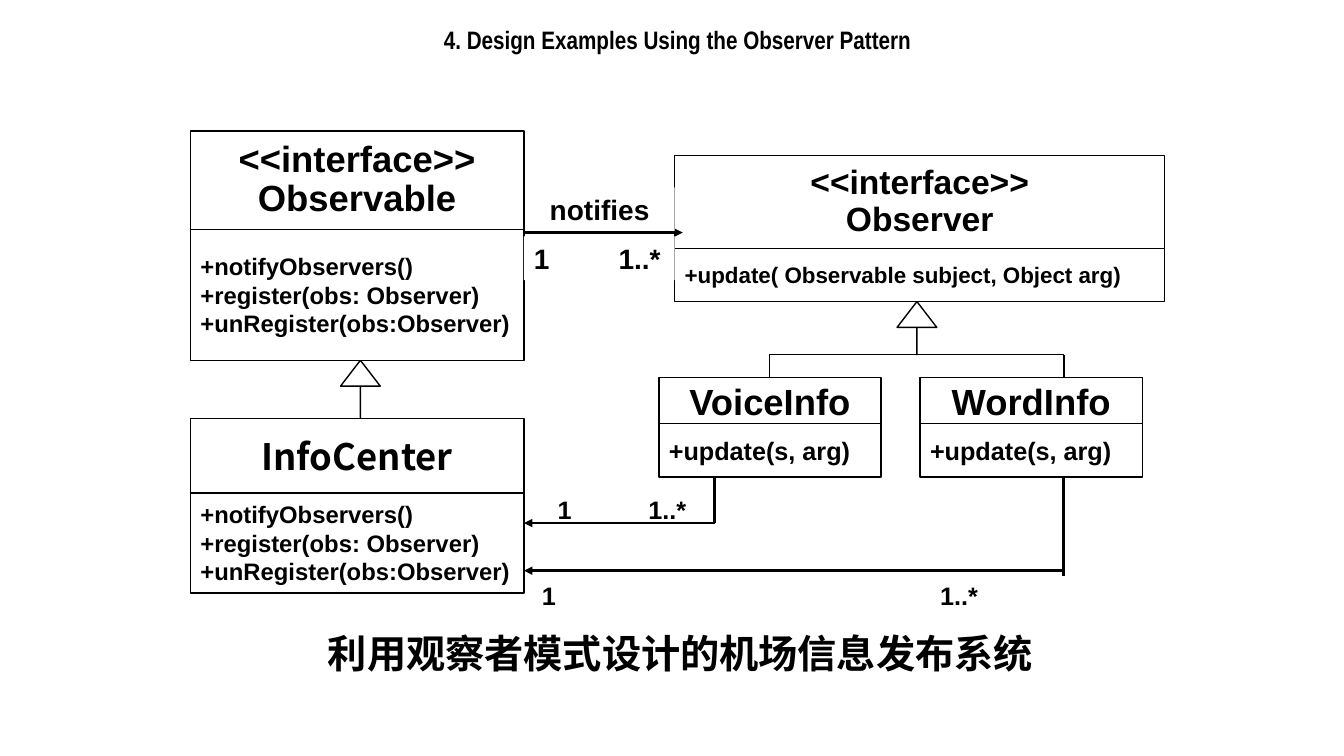
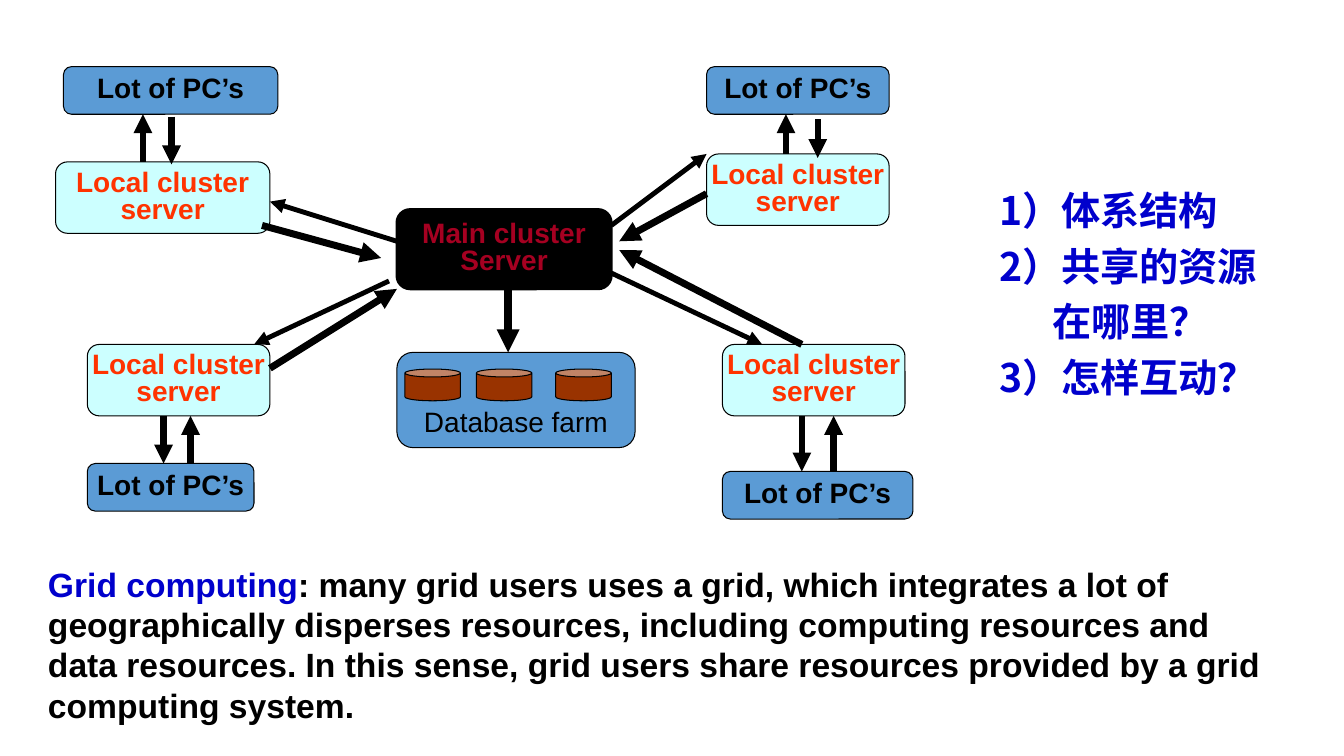
from dataclasses import dataclass

from lxml import etree
from pptx import Presentation
from pptx.dml.color import RGBColor
from pptx.enum.shapes import MSO_CONNECTOR, MSO_SHAPE
from pptx.enum.text import MSO_ANCHOR, MSO_AUTO_SIZE, PP_ALIGN
from pptx.oxml.ns import qn
from pptx.util import Inches, Mm, Pt

RECT, ROUNDED = MSO_SHAPE.RECTANGLE, MSO_SHAPE.ROUNDED_RECTANGLE
UP_ARROW, CAN = MSO_SHAPE.UP_ARROW, MSO_SHAPE.CAN
STRAIGHT = MSO_CONNECTOR.STRAIGHT
LEFT, CENTER = PP_ALIGN.LEFT, PP_ALIGN.CENTER
TOP, MIDDLE, BOTTOM = MSO_ANCHOR.TOP, MSO_ANCHOR.MIDDLE, MSO_ANCHOR.BOTTOM
NO_FIT = MSO_AUTO_SIZE.NONE
TITLE_ONLY, BLANK = 5, 6

BLACK, WHITE, BLUE = "000000", "FFFFFF", "0000CC"
STEEL, ICE, BROWN = "5B9BD5", "CCFFFF", "993300"
ORANGE, CRIMSON = "FF3300", "A50021"
SANS, NARROW, CJK = "Arial", "Arial Narrow", "Noto Sans CJK SC"

CELL = Mm(2)
ROW_START = 0.4  # the first row begins a little below the slide's top edge


@dataclass(frozen=True)
class Area:
    """A rectangle in grid columns and rows."""
    col: float
    row: float
    cols: float
    rows: float

    def lengths(self) -> tuple[int, int, int, int]:
        return (round(self.col * CELL), round((self.row + ROW_START) * CELL),
                round(self.cols * CELL), round(self.rows * CELL))


@dataclass(frozen=True)
class TextStyle:
    size: float
    color: str = BLACK
    font: str = SANS
    bold: bool = True
    align: PP_ALIGN = LEFT
    spacing: float = 1.0
    before: float = 0


@dataclass(frozen=True)
class Link:
    col: float
    row: float
    end_col: float
    end_row: float
    width: float
    arrow: bool = True


@dataclass(frozen=True)
class ClassBox:
    col: float
    row: float
    cols: float
    name: str
    name_rows: float
    members: str
    member_rows: float
    member_size: float
    name_size: float = 26
    name_font: str = SANS


@dataclass(frozen=True)
class Multiplicity:
    """The two ends of an association, with the gap between them in inches."""
    area: Area
    size: float
    gap: float
    fill: str | None = WHITE


SUBJECT_METHODS = "+notifyObservers()\n+register(obs: Observer)\n+unRegister(obs:Observer)"
CLASSES = [
    ClassBox(24, 16.1, 42, "<<interface>>\nObservable", 12.4, SUBJECT_METHODS, 16.5, 17),
    ClassBox(24, 52.3, 42, "InfoCenter", 9.4, SUBJECT_METHODS, 12.6, 17, name_font=CJK),
    ClassBox(85, 19.2, 61.7, "<<interface>>\nObserver", 11.7,
             "+update( Observable subject, Object arg)", 6.7, 16, name_size=24),
    ClassBox(83, 47.2, 28, "VoiceInfo", 5.8, "+update(s, arg)", 6.7, 18),
    ClassBox(115.9, 47.2, 28, "WordInfo", 5.8, "+update(s, arg)", 6.7, 18),
]
INHERITANCE = [Area(42.9, 45, 5, 7.3), Area(113, 37.6, 5, 6.7)]
ASSOCIATIONS = [
    Link(96.9, 44.3, 134, 44.3, 1, False),
    Link(96.9, 44.3, 96.9, 47.2, 1, False),
    Link(134, 44.3, 134, 47.2, 1, False),
    Link(66, 28.9, 86, 28.9, 2),
    Link(90, 59.7, 90, 65.5, 2, False),
    Link(134, 59.7, 134, 72.2, 2, False),
    Link(90, 65.5, 66, 65.5, 2),
    Link(134, 71.5, 66, 71.5, 2),
]
MULTIPLICITIES = [
    Multiplicity(Area(66, 29.4, 19, 5.5), 20, 0.84),
    Multiplicity(Area(69, 61.2, 19, 5.1), 18, 0.9, None),
    Multiplicity(Area(67, 72.1, 58, 5.1), 18, 3.95),
]

LOCAL_SERVERS = [Area(89, 19, 23, 9), Area(7, 20, 27, 9),
                 Area(91, 43, 23, 9), Area(11, 43, 23, 9)]
PC_GROUPS = [Area(89, 8, 23, 6), Area(8, 8, 27, 6),
             Area(91, 59, 24, 6), Area(11, 58, 21, 6)]
DATABASE_COLS = (51, 60, 70)
TRAFFIC = [
    Link(77, 28, 89, 19, 3.5), Link(50, 30, 34, 25, 3.5),
    Link(49, 35, 32, 43, 3.5), Link(77, 34, 96, 43, 3.5),
    Link(18, 20, 18, 14, 4.5), Link(99, 19, 99, 14, 4.5),
    Link(20.6, 52, 20.6, 58, 4.5), Link(101, 52, 101, 59, 4.5),
    Link(103, 14.6, 103, 19.5, 4.5), Link(105, 59, 105, 52, 4.5),
    Link(24, 58, 24, 52, 4.5), Link(21.6, 14.3, 21.6, 20.3, 4.5),
    Link(34, 46, 50, 36, 5), Link(33, 28, 48, 32.1, 5),
    Link(101, 43, 78, 31.1, 5), Link(89, 24, 78, 30, 5),
    Link(64, 36, 64, 44, 5.5),
]
QUESTIONS = "1）体系结构\n2）共享的资源\n在哪里？\n3）怎样互动？"
GRID_TERM = "Grid computing"
GRID_MEANING = (": many grid users uses a grid, which integrates a lot of geographically "
                "disperses resources, including computing resources and data resources. "
                "In this sense, grid users share resources provided by a grid computing system.")


def rgb(color: str) -> RGBColor:
    return RGBColor.from_string(color)


def format_run(run, style: TextStyle) -> None:
    run.font.size = Pt(style.size)
    run.font.bold = style.bold
    run.font.name = style.font
    run.font.color.rgb = rgb(style.color)
    if style.font == CJK:
        latin = run.font._element.find(qn("a:latin"))
        east_asian = etree.Element(qn("a:ea"), typeface=CJK)
        latin.addnext(east_asian)


def write(frame, text: str, style: TextStyle, anchor=TOP, wrap: bool = True) -> None:
    frame.text = text
    frame.auto_size = NO_FIT
    frame.word_wrap = wrap
    frame.vertical_anchor = anchor
    for index, paragraph in enumerate(frame.paragraphs):
        paragraph.alignment = style.align
        paragraph.line_spacing = style.spacing
        paragraph.space_before = Pt(style.before if index else 0)
        for run in paragraph.runs:
            format_run(run, style)


def add_block(slide, kind, area: Area, fill: str | None, line: float = 0):
    """Add a preset shape with a black outline, or none when line is 0."""
    block = slide.shapes.add_shape(kind, *area.lengths())
    block.shadow.inherit = False
    if fill:
        block.fill.solid()
        block.fill.fore_color.rgb = rgb(fill)
    else:
        block.fill.background()
    if line:
        block.line.color.rgb = rgb(BLACK)
        block.line.width = Pt(line)
    else:
        block.line.fill.background()
    return block


def add_text(slide, area: Area, text: str, style: TextStyle):
    frame = slide.shapes.add_textbox(*area.lengths()).text_frame
    write(frame, text, style)
    return frame


def add_link(slide, link: Link) -> None:
    start = Area(link.col, link.row, 0, 0).lengths()[:2]
    end = Area(link.end_col, link.end_row, 0, 0).lengths()[:2]
    connector = slide.shapes.add_connector(STRAIGHT, *start, *end)
    connector.line.color.rgb = rgb(BLACK)
    connector.line.width = Pt(link.width)
    properties = connector._element.spPr
    if link.arrow:
        etree.SubElement(properties.find(qn("a:ln")), qn("a:tailEnd"), type="triangle")
    etree.SubElement(properties, qn("a:effectLst"))


def add_class(slide, box: ClassBox) -> None:
    name = add_block(slide, RECT, Area(box.col, box.row, box.cols, box.name_rows), WHITE, 1)
    spacing = 0.9 if "\n" in box.name else 1.0
    write(name.text_frame, box.name,
          TextStyle(box.name_size, font=box.name_font, align=CENTER, spacing=spacing),
          MIDDLE, False)
    members = add_block(slide, RECT, Area(box.col, box.row + box.name_rows,
                                          box.cols, box.member_rows), WHITE, 1)
    write(members.text_frame, box.members, TextStyle(box.member_size), MIDDLE, False)


def add_multiplicity(slide, ends: Multiplicity) -> None:
    frame = add_block(slide, RECT, ends.area, ends.fill).text_frame
    write(frame, "1\t1..*", TextStyle(ends.size))
    tabs = etree.SubElement(frame.paragraphs[0]._p.get_or_add_pPr(), qn("a:tabLst"))
    etree.SubElement(tabs, qn("a:tab"), pos=str(Inches(ends.gap)), algn="l")


def add_node(slide, area: Area, text: str, fill: str, color: str = BLACK, bold: bool = True,
             line: float = 0.75, anchor=MIDDLE) -> None:
    node = add_block(slide, ROUNDED, area, fill, line)
    node.text_frame.margin_left = node.text_frame.margin_right = 0
    write(node.text_frame, text,
          TextStyle(20, color, bold=bold, align=CENTER, spacing=0.8), anchor, False)


def build_observer_slide(deck) -> None:
    slide = deck.slides.add_slide(deck.slide_layouts[TITLE_ONLY])
    title = slide.shapes.title
    title.left, title.top, title.width, title.height = Area(24.6, 2, 121.5, 5.1).lengths()
    write(title.text_frame, "4. Design Examples Using the Observer Pattern",
          TextStyle(18, font=NARROW, align=CENTER))
    for area in INHERITANCE:
        arrow = add_block(slide, UP_ARROW, area, WHITE, 1)
        arrow.adjustments[0] = 0
        arrow.adjustments[1] = 0.65
    for box in CLASSES:
        add_class(slide, box)
    for link in ASSOCIATIONS:
        add_link(slide, link)
    notifies = add_block(slide, RECT, Area(68, 23.2, 17, 5.5), WHITE)
    write(notifies.text_frame, "notifies", TextStyle(20))
    for ends in MULTIPLICITIES:
        add_multiplicity(slide, ends)
    add_text(slide, Area(33.7, 78.3, 104, 7.2), "利用观察者模式设计的机场信息发布系统",
             TextStyle(28, font=CJK, align=CENTER))


def build_grid_slide(deck) -> None:
    slide = deck.slides.add_slide(deck.slide_layouts[BLANK])
    add_node(slide, Area(50, 26, 27, 10), "Main cluster\nServer", BLACK, CRIMSON, line=2)
    add_node(slide, Area(50, 44, 30, 12), "Database farm", STEEL, bold=False, anchor=BOTTOM)
    for col in DATABASE_COLS:
        add_block(slide, CAN, Area(col, 46.1, 7, 4), BROWN, 0.75)
    for area in PC_GROUPS:
        add_node(slide, area, "Lot of PC’s", STEEL)
    for area in LOCAL_SERVERS:
        add_node(slide, area, "Local cluster\nserver", ICE, ORANGE)
    for link in TRAFFIC:
        add_link(slide, link)

    definition = add_text(slide, Area(4.8, 70, 155.8, 21.8), GRID_TERM, TextStyle(24, BLUE))
    meaning = definition.paragraphs[0].add_run()
    meaning.text = GRID_MEANING
    format_run(meaning, TextStyle(24))

    questions = add_text(slide, Area(124.6, 22.5, 41.3, 28.4), QUESTIONS,
                         TextStyle(28, BLUE, CJK, before=6))
    continuation = questions.paragraphs[2]
    continuation._p.get_or_add_pPr().set("marL", str(Inches(0.53)))


def main() -> None:
    deck = Presentation()
    deck.slide_width, deck.slide_height = Inches(13.33), Inches(7.5)
    build_observer_slide(deck)
    build_grid_slide(deck)
    deck.save("out.pptx")


if __name__ == "__main__":
    main()
